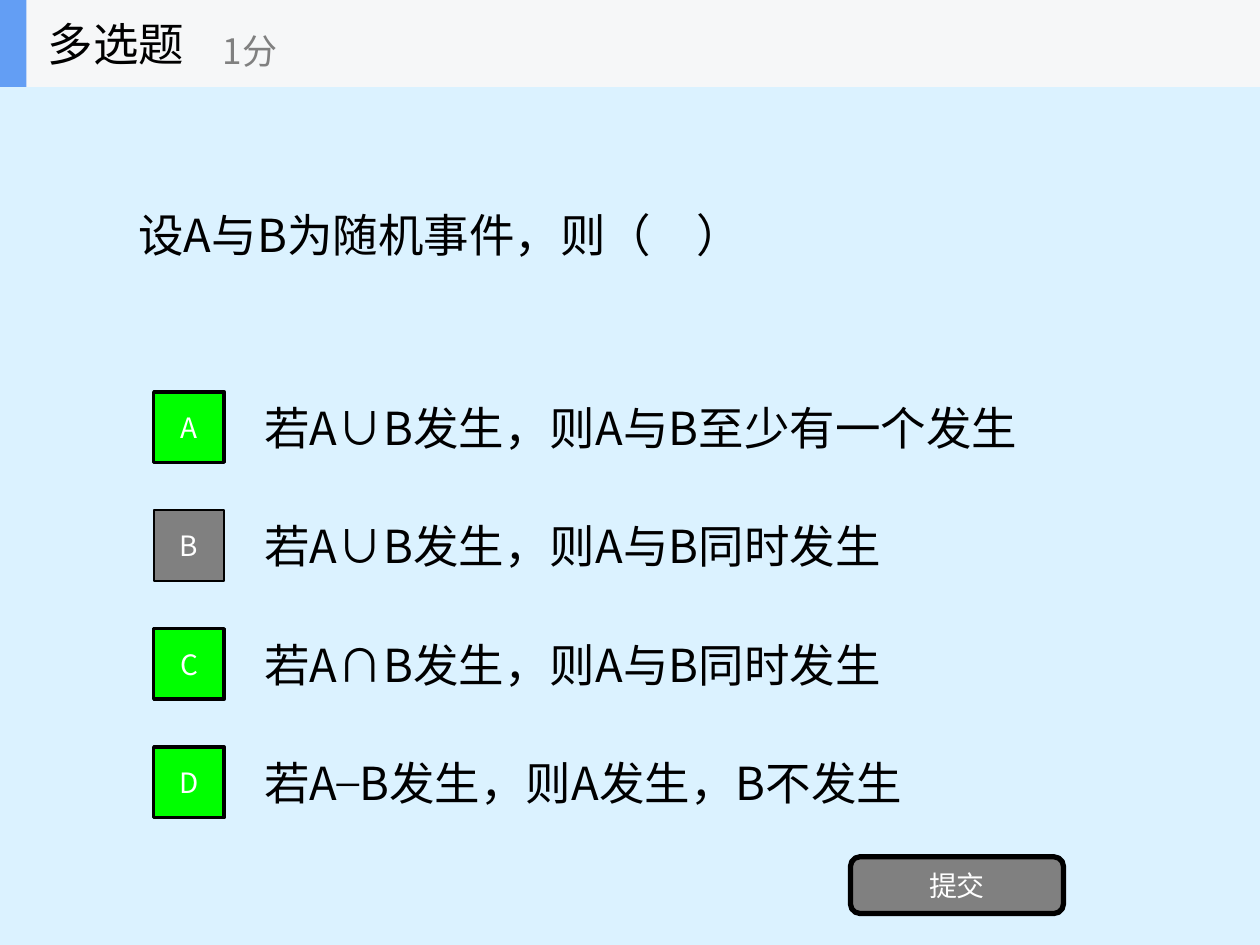
"""Build a multiple-choice question slide about random events."""
from dataclasses import dataclass

from lxml.etree import SubElement
from pptx import Presentation
from pptx.dml.color import RGBColor
from pptx.enum.shapes import MSO_SHAPE as SHAPE
from pptx.enum.text import MSO_ANCHOR as ANCHOR, PP_ALIGN as ALIGN
from pptx.oxml.ns import qn
from pptx.util import Inches, Pt

BLACK = RGBColor(0x00, 0x00, 0x00)
WHITE = RGBColor(0xFF, 0xFF, 0xFF)
GRAY = RGBColor(0x80, 0x80, 0x80)
GREEN = RGBColor(0x00, 0xFF, 0x00)
BLUE = RGBColor(0x63, 0x9E, 0xF4)
HEADER_GRAY = RGBColor(0xF6, 0xF7, 0xF8)
PALE_BLUE = RGBColor(0xDB, 0xF2, 0xFF)
SANS = "Noto Sans CJK SC"
SERIF = "Times New Roman"
HEADER_H = 0.69
OPTION_TOP, OPTION_PITCH, OPTION_H = 3.04, 0.94, 0.7
KEY_SIZE = 0.56


@dataclass(frozen=True)
class Box:
    left: float
    top: float
    width: float
    height: float

    def lengths(self) -> list:
        return [Inches(v) for v in (self.left, self.top, self.width, self.height)]


@dataclass(frozen=True)
class Option:
    key: str
    runs: tuple[tuple[str, str], ...]
    correct: bool = True


OPTIONS = (
    Option("A", (("若A∪B发生，则A与B至少有一个发生", SANS),)),
    Option("B", (("若A∪B发生，则A与B同时发生", SANS),), correct=False),
    Option("C", (("若A∩B发生，则A与B同时发生", SANS),)),
    Option("D", (("若A ", SANS), ("̶ ", SERIF), ("B发生，则A发生，B不发生", SANS))),
)


def write(sp, runs: tuple[tuple[str, str], ...], size: int, color: RGBColor,
          align=ALIGN.LEFT, wrap: bool = True) -> None:
    tf = sp.text_frame
    tf.word_wrap = wrap
    tf.vertical_anchor = ANCHOR.MIDDLE
    p = tf.paragraphs[0]
    p.alignment = align
    p.font.size = Pt(size)
    p.font.color.rgb = color
    p.font.name = SANS
    SubElement(p._p.pPr.find(qn("a:defRPr")), qn("a:ea"), typeface=SANS)
    for text, font in runs:
        r = p.add_run()
        r.text = text
        if font != SANS:
            r.font.name = font


def add_text(shapes, box: Box, runs: tuple[tuple[str, str], ...], size: int = 26,
             color: RGBColor = BLACK, wrap: bool = True) -> None:
    write(shapes.add_textbox(*box.lengths()), runs, size, color, wrap=wrap)


def add_block(shapes, box: Box, fill: RGBColor, kind=SHAPE.RECTANGLE,
              line: float = 0, label: str = "") -> None:
    sp = shapes.add_shape(kind, *box.lengths())
    sp.shadow.inherit = False
    sp.fill.solid()
    sp.fill.fore_color.rgb = fill
    if line:
        sp.line.color.rgb = BLACK
        sp.line.width = Pt(line)
    else:
        sp.line.fill.background()
    if label:
        write(sp, ((label, SANS),), 16, WHITE, ALIGN.CENTER)


def add_option(shapes, index: int, option: Option) -> None:
    top = OPTION_TOP + index * OPTION_PITCH
    key_top = top + (OPTION_H - KEY_SIZE) / 2
    fill, line = (GREEN, 2) if option.correct else (GRAY, 1)
    add_text(shapes, Box(2, top, 7, OPTION_H), option.runs)
    add_block(shapes, Box(1.22, key_top, KEY_SIZE, KEY_SIZE), fill, line=line, label=option.key)


def add_header(shapes) -> None:
    group = shapes.add_group_shape().shapes
    add_block(group, Box(0, 0, 10, HEADER_H), HEADER_GRAY)
    add_block(group, Box(0, 0, 0.21, HEADER_H), BLUE)
    add_text(group, Box(0.28, 0, 2.08, HEADER_H), (("多选题", SANS),), wrap=False)
    add_text(group, Box(1.67, 0.12, 2.5, 0.56), (("1分", SANS),), 20, GRAY, wrap=False)


def main() -> None:
    prs = Presentation()
    prs.slide_width, prs.slide_height = Inches(10), Inches(7.5)
    s = prs.slides.add_slide(prs.slide_layouts[6])
    s.background.fill.solid()
    s.background.fill.fore_color.rgb = PALE_BLUE
    add_text(s.shapes, Box(1, HEADER_H, 8, 2.34), (("设A与B为随机事件，则（　）", SANS),))
    for index, option in enumerate(OPTIONS):
        add_option(s.shapes, index, option)
    add_block(s.shapes, Box(6.75, 6.8, 1.69, 0.45), GRAY, SHAPE.ROUNDED_RECTANGLE, 3, "提交")
    add_header(s.shapes)
    prs.save("out.pptx")


if __name__ == "__main__":
    main()
